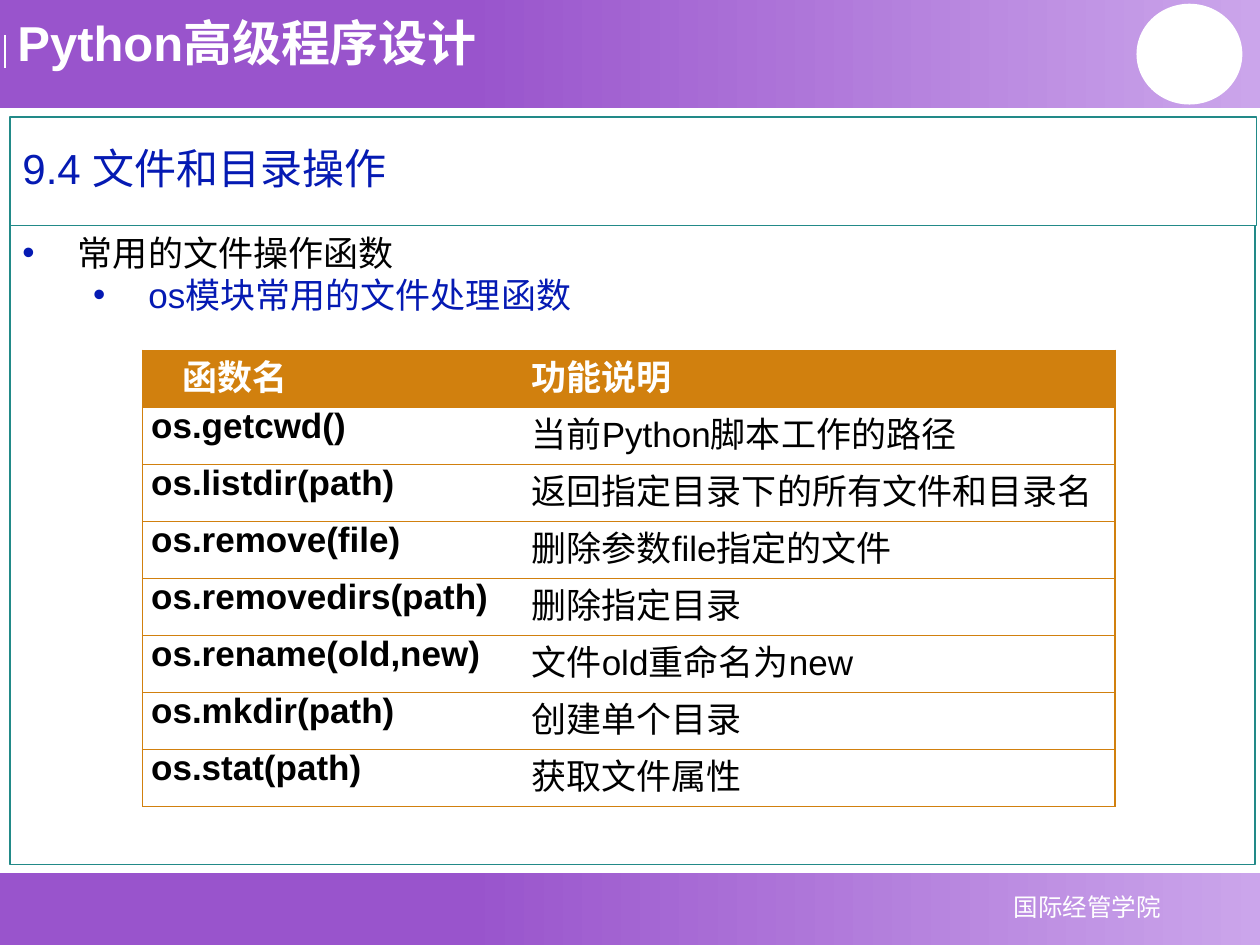
from lxml import etree
from pptx import Presentation, util as u
from pptx.dml.color import RGBColor
from pptx.enum import shapes, text
from pptx.oxml import ns

WHITE, BLACK, BLUE, TEAL, ORANGE = "FFFFFF", "000000", "051AB3", "228A88", "D1800E"
BAND = [(0, "9954CC"), (37, "9954CC"), (100, "CBA5EB")]
FUNCTIONS = [
    ("函数名", "功能说明"),
    ("os.getcwd()", "当前Python脚本工作的路径"),
    ("os.listdir(path)", "返回指定目录下的所有文件和目录名"),
    ("os.remove(file)", "删除参数file指定的文件"),
    ("os.removedirs(path)", "删除指定目录"),
    ("os.rename(old,new)", "文件old重命名为new"),
    ("os.mkdir(path)", "创建单个目录"),
    ("os.stat(path)", "获取文件属性"),
]


def rgb(value):
    return RGBColor.from_string(value)


def sub(parent, tag, **attrs):
    return etree.SubElement(parent, ns.qn(tag), attrs)


class Deck:
    """Lengths are grid cells: 100 columns by 75 rows on the slide."""
    font = "Arial"
    columns, rows = 100, 75

    def __init__(self, prs):
        self.cell_w = prs.slide_width / self.columns
        self.cell_h = prs.slide_height / self.rows
        self.s = prs.slides.add_slide(prs.slide_layouts[6])

    def x(self, n):
        return u.Emu(round(n * self.cell_w))

    def y(self, n):
        return u.Emu(round(n * self.cell_h))

    def box(self, left, top, width, height):
        return self.x(left), self.y(top), self.x(width), self.y(height)

    def shape(self, box, fill=None, line=None, kind=shapes.MSO_SHAPE.RECTANGLE):
        sp = self.s.shapes.add_shape(kind, *self.box(*box))
        sp.shadow.inherit = False
        if fill:
            sp.fill.solid()
            sp.fill.fore_color.rgb = rgb(fill)
        else:
            sp.fill.background()
        if line:
            sp.line.color.rgb = rgb(line)
            sp.line.width = u.Pt(0.75)
        else:
            sp.line.fill.background()
        return sp

    def band(self, top, height):
        sp = self.shape((0, top, self.columns, height))
        sp.fill.gradient()
        sp.fill.gradient_angle = 0
        stops = sp._element.spPr.find(".//" + ns.qn("a:gsLst"))
        for old in list(stops):
            stops.remove(old)
        for share, color in BAND:
            stop = sub(stops, "a:gs", pos=str(share * 1000))
            sub(stop, "a:srgbClr", val=color)

    def line(self, x1, y1, x2, y2, color):
        c = self.s.shapes.add_connector(shapes.MSO_CONNECTOR.STRAIGHT,
                                        self.x(x1), self.y(y1), self.x(x2), self.y(y2))
        c.line.color.rgb = rgb(color)
        c.line.width = u.Pt(0.75)
        sub(c._element.spPr, "a:effectLst")

    def textbox(self, box):
        return self.s.shapes.add_textbox(*self.box(*box))

    def frame(self, sp, anchor):
        tf = sp.text_frame
        tf.word_wrap = True
        tf.vertical_anchor = anchor
        return tf

    def run(self, p, words, size, color, bold=False, align=text.PP_ALIGN.LEFT):
        p.alignment = align
        r = p.add_run()
        r.text = words
        r.font.name, r.font.size, r.font.bold = self.font, u.Pt(size), bold
        r.font.color.rgb = rgb(color)

    def bullet(self, p, margin, color):
        """Hang a bullet 0.44 inch left of the text margin."""
        pPr = p._p.get_or_add_pPr()
        pPr.set("marL", str(u.Inches(margin)))
        pPr.set("indent", str(u.Inches(-0.44)))
        sub(sub(pPr, "a:buClr"), "a:srgbClr", val=color)
        sub(pPr, "a:buFont", typeface=self.font)
        sub(pPr, "a:buChar", char="•")

    def border(self, cell, edges):
        """Rule the given edges, drop the others; call before filling."""
        tcPr = cell._tc.get_or_add_tcPr()
        for edge in "LRTB":
            ln = sub(tcPr, "a:ln" + edge, w=str(u.Pt(0.75)))
            if edge in edges:
                sub(sub(ln, "a:solidFill"), "a:srgbClr", val=ORANGE)
            else:
                sub(ln, "a:noFill")

    def table(self, box, data, widths):
        table = self.s.shapes.add_table(len(data), len(widths), *self.box(*box)).table
        table.horz_banding = False
        for column, width in zip(table.columns, widths):
            column.width = self.x(width)
        for i, row in enumerate(data):
            table.rows[i].height = self.y(box[3] / len(data))
            for j, words in enumerate(row):
                header, name = i == 0, j == 0
                cell = table.cell(i, j)
                cell.margin_left = cell.margin_right = u.Inches(0.07)
                cell.margin_top = cell.margin_bottom = 0
                self.border(cell, "LTB" if name else "RTB")
                if header:
                    cell.fill.solid()
                    cell.fill.fore_color.rgb = rgb(ORANGE)
                else:
                    cell.fill.background()
                p = cell.text_frame.paragraphs[0]
                p.space_before = p.space_after = u.Pt(1.2)
                if header and name:
                    p._p.get_or_add_pPr().set("indent", str(u.Inches(0.25)))
                self.run(p, words, 20, WHITE if header else BLACK,
                         header or name, text.PP_ALIGN.JUSTIFY)


def main():
    prs = Presentation()
    prs.slide_width, prs.slide_height = u.Inches(10), u.Inches(7.5)
    d = Deck(prs)
    top, middle = text.MSO_ANCHOR.TOP, text.MSO_ANCHOR.MIDDLE

    d.band(69.3, 5.7)
    d.band(0, 8.6)
    d.line(0.4, 2.8, 0.4, 5.4, WHITE)
    school = d.frame(d.textbox((74.7, 70.3, 23.2, 3.4)), middle)
    d.run(school.paragraphs[0], "国际经管学院", 14, WHITE, align=text.PP_ALIGN.CENTER)
    course = d.frame(d.textbox((0.4, 0.5, 41, 5.7)), top)
    d.run(course.paragraphs[0], "Python高级程序设计", 28, WHITE, bold=True)
    d.shape((90.2, 0.3, 8.4, 8), WHITE, kind=shapes.MSO_SHAPE.OVAL)

    title = d.frame(d.shape((0.8, 9.3, 98.9, 8.6), line=TEAL), middle)
    title.paragraphs[0].line_spacing = 0.9
    d.run(title.paragraphs[0], "9.4 文件和目录操作", 24, BLUE)

    body = d.frame(d.shape((0.8, 17.9, 98.8, 50.7), line=TEAL), top)
    p = body.paragraphs[0]
    d.bullet(p, 0.44, BLUE)
    d.run(p, "常用的文件操作函数", 20, BLACK)
    p = body.add_paragraph()
    p.level = 1
    d.bullet(p, 1, BLUE)
    d.run(p, "os模块常用的文件处理函数", 20, BLUE)

    d.table((11.3, 27.8, 77.2, 36.2), FUNCTIONS, (30.2, 47))
    prs.save("out.pptx")


if __name__ == "__main__":
    main()
